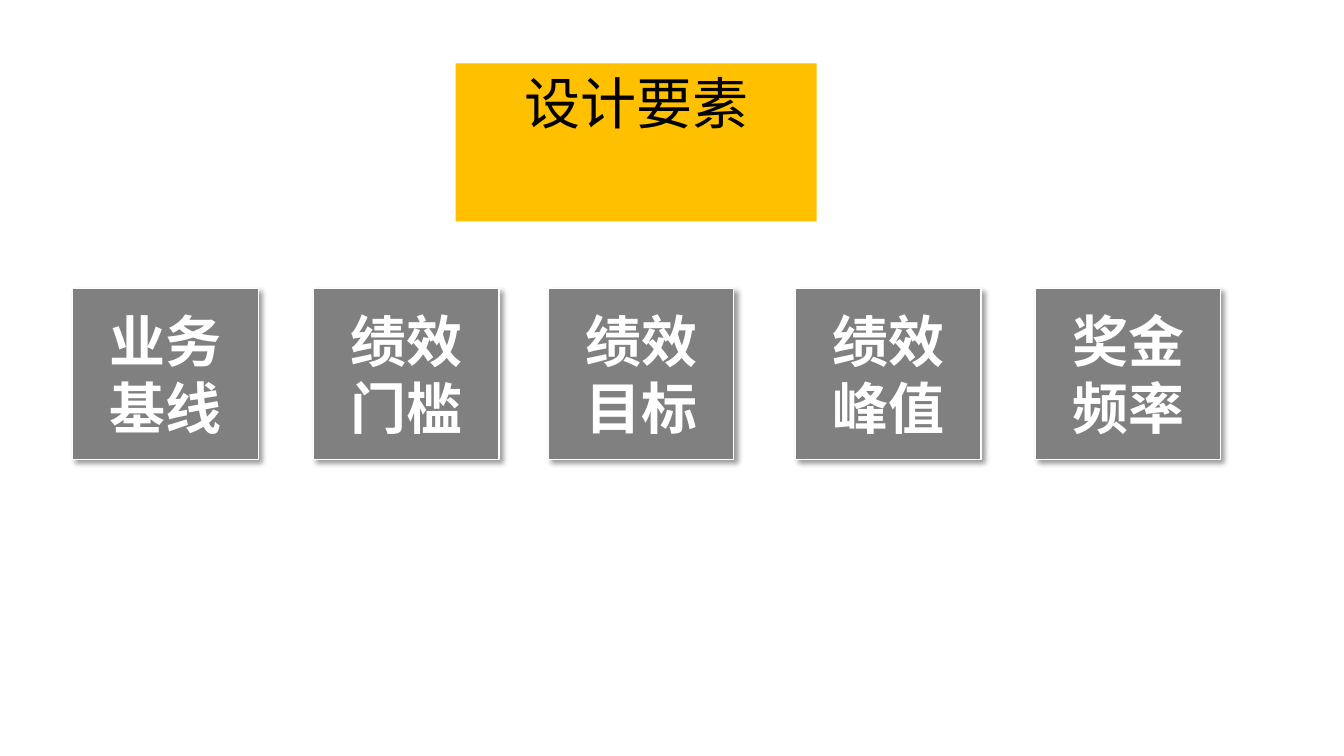
from dataclasses import dataclass

from lxml import etree
from pptx import Presentation
from pptx.dml.color import RGBColor
from pptx.enum.shapes import MSO_SHAPE
from pptx.enum.text import MSO_ANCHOR, MSO_AUTO_SIZE, PP_ALIGN
from pptx.oxml import parse_xml
from pptx.oxml.ns import nsdecls, qn
from pptx.util import Emu, Pt

PX = 9144
FONT = "Noto Sans CJK SC"
AMBER = RGBColor(0xFF, 0xC0, 0x00)
GRAY = RGBColor(0x80, 0x80, 0x80)
WHITE = RGBColor(0xFF, 0xFF, 0xFF)
BLACK = RGBColor(0x00, 0x00, 0x00)
RECTANGLE = MSO_SHAPE.RECTANGLE
TOP, MIDDLE = MSO_ANCHOR.TOP, MSO_ANCHOR.MIDDLE
CENTER = PP_ALIGN.CENTER
GROW, FIXED = MSO_AUTO_SIZE.SHAPE_TO_FIT_TEXT, MSO_AUTO_SIZE.NONE
TITLE_ONLY = 5
CARD_TOP, CARD_WIDTH, CARD_HEIGHT = 286, 184, 170
SHADOW = (
    f'<a:outerShdw {nsdecls("a")} blurRad="50800" dist="38100" dir="2700000" '
    'algn="tl" rotWithShape="0"><a:srgbClr val="000000">'
    '<a:alpha val="40000"/></a:srgbClr></a:outerShdw>'
)


@dataclass(frozen=True)
class Card:
    """A design element and its left edge in px."""

    text: str
    left: int


CARDS = [
    Card("业务基线", 72),
    Card("绩效门槛", 311),
    Card("绩效目标", 544),
    Card("绩效峰值", 789),
    Card("奖金频率", 1027),
]


def apply_format(target: object, values: dict) -> None:
    """Set each named attribute on the target."""
    for name, value in values.items():
        setattr(target, name, value)


def place(shape, left: int, top: int, width: int, height: int) -> None:
    """Move and size a shape, in px."""
    apply_format(shape, {
        "left": Emu(left * PX), "top": Emu(top * PX),
        "width": Emu(width * PX), "height": Emu(height * PX),
    })


def write_text(shape, text: str, color: RGBColor, bold: bool, frame_format: dict) -> None:
    """Write one centred line of large text in a shape."""
    frame = shape.text_frame
    apply_format(frame, {"word_wrap": True, **frame_format})
    paragraph = frame.paragraphs[0]
    paragraph.alignment = CENTER
    run = paragraph.add_run()
    run.text = text
    apply_format(run.font, {"name": FONT, "size": Pt(40), "bold": bold})
    run.font.color.rgb = color
    properties = run.font._element
    etree.SubElement(properties, qn("a:ea")).set("typeface", FONT)


def fill_shape(shape, color: RGBColor) -> None:
    """Give a shape a solid fill."""
    shape.fill.solid()
    shape.fill.fore_color.rgb = color


def add_heading(slide, text: str) -> None:
    """Format the title placeholder as the amber heading."""
    title = slide.shapes.title
    place(title, 452, 63, 358, 77)
    fill_shape(title, AMBER)
    write_text(title, text, BLACK, False, {"vertical_anchor": TOP, "auto_size": GROW})


def add_card(slide, card: Card) -> None:
    """Draw a gray card with a white edge and a soft shadow."""
    shape = slide.shapes.add_shape(RECTANGLE, 0, 0, 0, 0)
    place(shape, card.left, CARD_TOP, CARD_WIDTH, CARD_HEIGHT)
    fill_shape(shape, GRAY)
    shape.line.color.rgb = WHITE
    shape.line.width = Pt(0.75)
    shape.shadow.inherit = False
    effects = shape._element.spPr.find(qn("a:effectLst"))
    effects.append(parse_xml(SHADOW))
    write_text(shape, card.text, WHITE, True, {"vertical_anchor": MIDDLE, "auto_size": FIXED})


def main() -> None:
    """Build and save the slide."""
    presentation = Presentation()
    apply_format(presentation, {"slide_width": Emu(1333 * PX), "slide_height": Emu(750 * PX)})
    slide = presentation.slides.add_slide(presentation.slide_layouts[TITLE_ONLY])
    add_heading(slide, "设计要素")
    for card in CARDS:
        add_card(slide, card)
    presentation.save("out.pptx")


if __name__ == "__main__":
    main()
